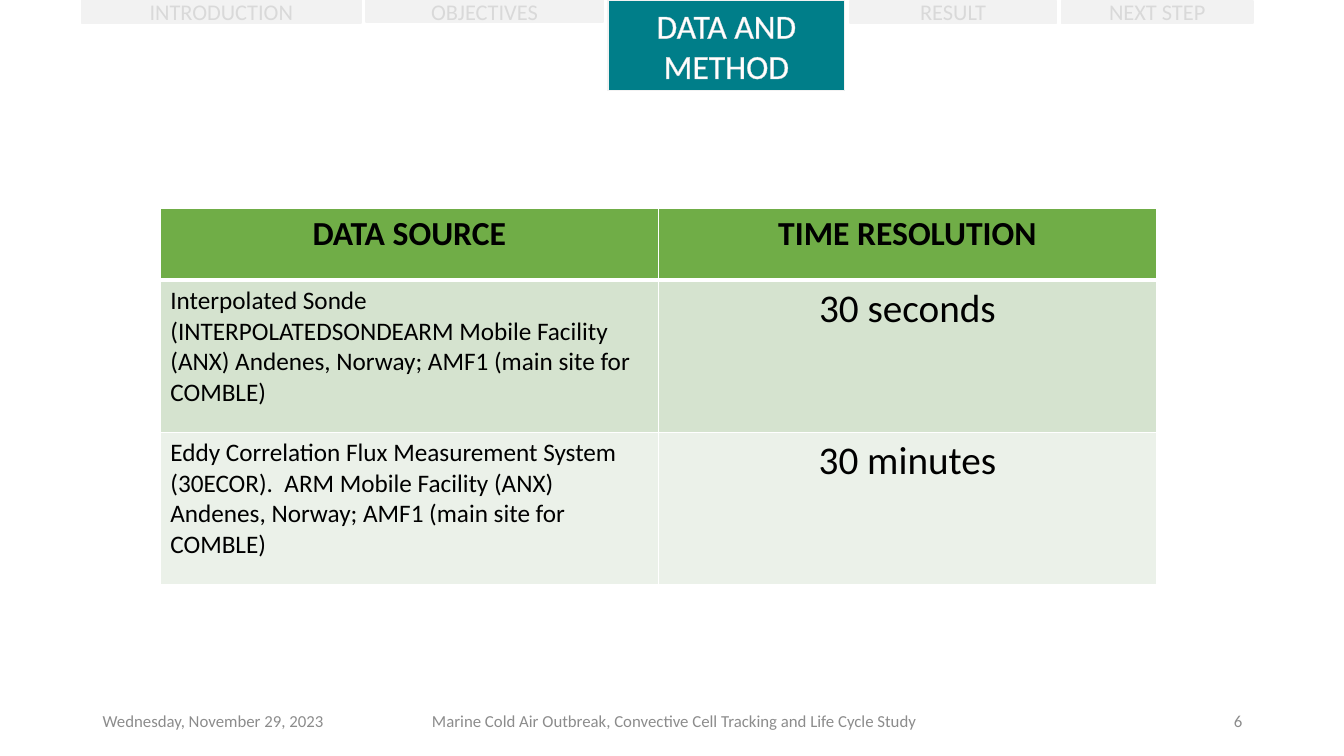
from lxml import etree
from pptx import Presentation
from pptx.dml.color import RGBColor
from pptx.enum.shapes import MSO_SHAPE
from pptx.enum.text import MSO_ANCHOR, PP_ALIGN
from pptx.oxml.ns import qn
from pptx.util import Inches, Pt

RECTANGLE = MSO_SHAPE.RECTANGLE
MIDDLE = MSO_ANCHOR.MIDDLE
LEFT, CENTER, RIGHT = PP_ALIGN.LEFT, PP_ALIGN.CENTER, PP_ALIGN.RIGHT

SLIDE_WIDTH, SLIDE_HEIGHT = Inches(13.33), Inches(7.5)
FONT = "Calibri"
WHITE, BLACK, FOOTER_GRAY = "FFFFFF", "000000", "8C8C8C"
TAB_FILL, TAB_TEXT, ACTIVE_FILL = "F2F2F2", "D9D9D9", "007E89"
ROW_FILLS = ["70AD47", "D5E3CF", "EBF1E9"]

TAB_LEFT, TAB_GAP = 6.08, 0.37
TABS = [
    ("INTRODUCTION", 0, 20.78, 3.07),
    ("OBJECTIVES", 0, 17.63, 2.93),
    ("DATA AND METHOD", 0, 17.63, 12),
    ("RESULT", 0.13, 15.38, 2.93),
    ("NEXT STEP", 0.13, 14.25, 2.93),
]
ACTIVE_TAB = "DATA AND METHOD"
FOOTERS = [
    ("Wednesday, November 29, 2023", 6.9, 22.51, LEFT),
    ("Marine Cold Air Outbreak, Convective Cell Tracking and Life Cycle Study",
     31.13, 38.11, CENTER),
    ("6", 70.67, 22.51, RIGHT),
]
TABLE_ROWS = [
    ("DATA SOURCE", "TIME RESOLUTION"),
    ("Interpolated Sonde (INTERPOLATEDSONDEARM Mobile Facility "
     "(ANX) Andenes, Norway; AMF1 (main site for COMBLE)", "30 seconds"),
    ("Eddy Correlation Flux Measurement System (30ECOR).  ARM Mobile Facility "
     "(ANX) Andenes, Norway; AMF1 (main site for COMBLE)", "30 minutes"),
]
ROW_HEIGHTS = [9.47, 20.13, 20.13]


def color(value):
    """Turn a hex string into a colour."""
    return RGBColor.from_string(value)


def across(percent):
    """Give a share of the slide width."""
    return round(SLIDE_WIDTH * percent / 100)


def down(percent):
    """Give a share of the slide height."""
    return round(SLIDE_HEIGHT * percent / 100)


def line_element(tag, value, points):
    """Build a solid line element for a cell edge or a text outline."""
    line = etree.Element(qn(tag), w=str(Pt(points)))
    fill = etree.SubElement(line, qn("a:solidFill"))
    etree.SubElement(fill, qn("a:srgbClr"), val=value)
    return line


def write(text_frame, text, size, value, alignment, bold=False):
    """Write one styled run into a text frame and return it."""
    text_frame.word_wrap = True
    paragraph = text_frame.paragraphs[0]
    paragraph.alignment = alignment
    run = paragraph.add_run()
    run.text = text
    run.font.name = FONT
    run.font.size = Pt(size)
    run.font.bold = bold
    run.font.color.rgb = color(value)
    return run


def add_tab(slide, text, left, top, width, height):
    """Add one navigation tab, enlarged when it is the active one."""
    active = text == ACTIVE_TAB
    shape = slide.shapes.add_shape(
        RECTANGLE, across(left), down(top), across(width), down(height))
    shape.shadow.inherit = False
    shape.fill.solid()
    shape.fill.fore_color.rgb = color(ACTIVE_FILL if active else TAB_FILL)
    shape.line.color.rgb = color(TAB_FILL)
    shape.line.width = Pt(1)
    shape.text_frame.vertical_anchor = MIDDLE
    run = write(shape.text_frame, text, 24 if active else 16,
                WHITE if active else TAB_TEXT, CENTER)
    if active:
        run.font.fill.solid()
        run.font.fill.fore_color.rgb = color(WHITE)
        run.font._element.insert(0, line_element("a:ln", TAB_TEXT, 0.75))


def add_footer(slide, text, left, width, alignment):
    """Add one footer text box."""
    box = slide.shapes.add_textbox(
        across(left), down(92.67), across(width), down(5.33))
    box.text_frame.vertical_anchor = MIDDLE
    write(box.text_frame, text, 12, FOOTER_GRAY, alignment)


def style_cell(cell, fill, top_width, bottom_width):
    """Fill a cell and draw its white edges."""
    cell.fill.solid()
    cell.fill.fore_color.rgb = color(fill)
    properties = cell._tc.get_or_add_tcPr()
    edges = [("a:lnL", 1), ("a:lnR", 1),
             ("a:lnT", top_width), ("a:lnB", bottom_width)]
    for position, (tag, points) in enumerate(edges):
        properties.insert(position, line_element(tag, WHITE, points))


def add_data_table(slide):
    """Add the table of data sources and time resolutions."""
    table = slide.shapes.add_table(
        len(TABLE_ROWS), 2, across(11.93), down(27.6),
        across(74.12), down(sum(ROW_HEIGHTS))).table
    for row_index, texts in enumerate(TABLE_ROWS):
        table.rows[row_index].height = down(ROW_HEIGHTS[row_index])
        header = row_index == 0
        for column_index, text in enumerate(texts):
            cell = table.cell(row_index, column_index)
            source = column_index == 0 and not header
            size = 24 if header else 18 if source else 28
            write(cell.text_frame, text, size, BLACK,
                  LEFT if source else CENTER, header)
            style_cell(cell, ROW_FILLS[row_index],
                       3 if row_index == 1 else 1, 3 if header else 1)


def main():
    """Build the slide and save it."""
    presentation = Presentation()
    presentation.slide_width = SLIDE_WIDTH
    presentation.slide_height = SLIDE_HEIGHT
    slide = presentation.slides.add_slide(presentation.slide_layouts[6])
    for footer in FOOTERS:
        add_footer(slide, *footer)
    left = TAB_LEFT
    for text, top, width, height in TABS:
        add_tab(slide, text, left, top, width, height)
        left += width + TAB_GAP
    add_data_table(slide)
    presentation.save("out.pptx")


if __name__ == "__main__":
    main()
